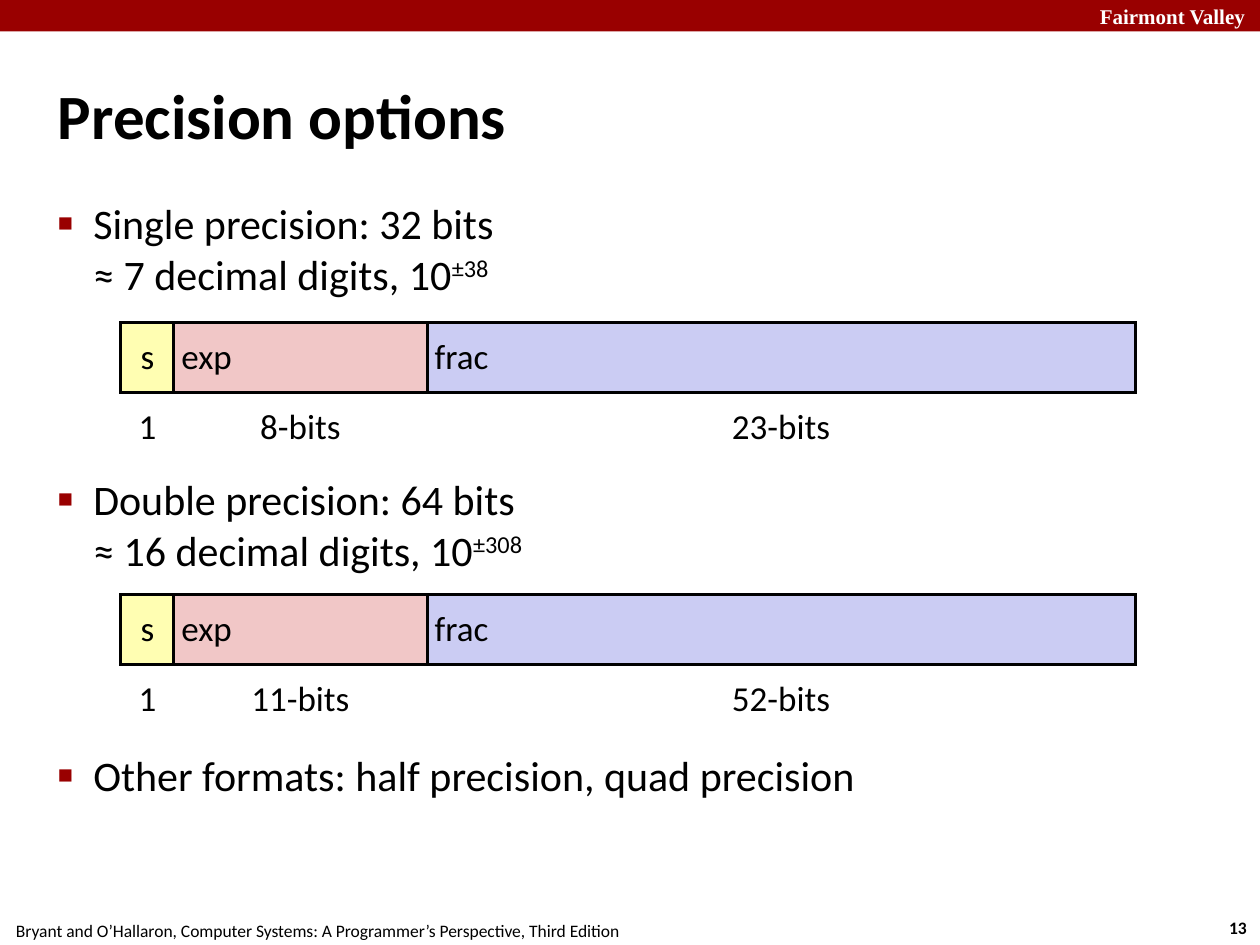
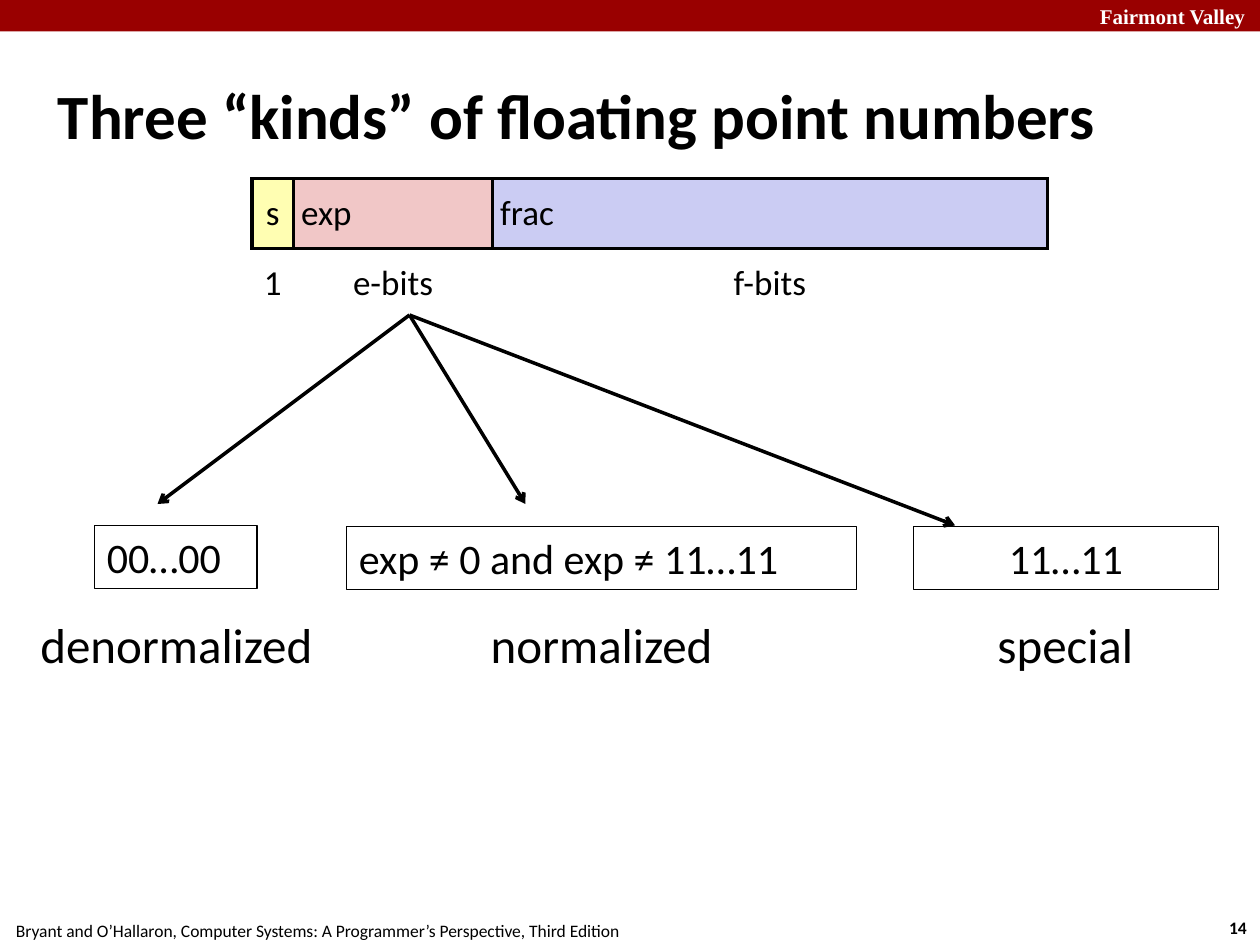
"""Build two slides on floating point precision and the kinds of floating point numbers."""
import lxml.etree
import pptx
import pptx.dml.color
import pptx.enum.shapes
import pptx.enum.text
import pptx.oxml.ns
import pptx.util

Inches = pptx.util.Inches
Pt = pptx.util.Pt
RGBColor = pptx.dml.color.RGBColor
Align = pptx.enum.text.PP_ALIGN
Anchor = pptx.enum.text.MSO_ANCHOR
qn = pptx.oxml.ns.qn

BLACK = RGBColor(0x00, 0x00, 0x00)
WHITE = RGBColor(0xFF, 0xFF, 0xFF)
RED = RGBColor(0x99, 0x00, 0x00)
YELLOW = RGBColor(0xFF, 0xFE, 0xB2)
PINK = RGBColor(0xF1, 0xC7, 0xC7)
LAVENDER = RGBColor(0xCB, 0xCC, 0xF3)

SCHOOL = "Fairmont Valley"
SOURCE = "Bryant and O’Hallaron, Computer Systems: A Programmer’s Perspective, Third Edition"
FIRST_NUMBER = 13

FIELDS = [("s", YELLOW, Align.CENTER), ("exp", PINK, Align.LEFT), ("frac", LAVENDER, Align.LEFT)]
WIDE_COLUMNS = (0.42, 2.01, 5.62)
NARROW_COLUMNS = (0.33, 1.58, 4.4)
ROW_HEIGHT = 0.555

PRECISION_TITLE = "Precision options"
PRECISIONS = [
    (["Single precision: 32 bits", "≈ 7 decimal digits, 10"], "±38", 6),
    (["Double precision: 64 bits", "≈ 16 decimal digits, 10"], "±308", 100),
    (["Other formats: half precision, quad precision"], "", 100),
]
PRECISION_TABLES = [(2.56, ("1", "8-bits", "23-bits")), (4.72, ("1", "11-bits", "52-bits"))]

KINDS_TITLE = "Three “kinds” of floating point numbers"
KINDS_WIDTHS = ("1", "e-bits", "f-bits")
ARROW_START = (3.25, 2.5)
KINDS = [
    {"pattern": "00…00", "box": (0.75, 4.17, 1.29), "align": Align.LEFT,
     "name": "denormalized", "label": (0.21, 2.38), "arrow_end": (1.25, 4)},
    {"pattern": "exp ≠ 0 and exp ≠ 11…11", "box": (2.75, 4.18, 4.05), "align": Align.LEFT,
     "name": "normalized", "label": (3.71, 2.13), "arrow_end": (4.17, 4)},
    {"pattern": "11…11", "box": (7.25, 4.18, 2.42), "align": Align.CENTER,
     "name": "special", "label": (7.74, 1.43), "arrow_end": (7.58, 4.17)},
]


def write(para, text, size=20, font="Calibri", color=BLACK, bold=False, align=Align.LEFT, raised=False):
    """Append one formatted span to a paragraph."""
    para.alignment = align
    span = para.add_run()
    span.text = text
    span.font.size = Pt(size)
    span.font.name = font
    span.font.bold = bold
    span.font.color.rgb = color
    if raised:
        span.font._element.set("baseline", "30000")


def add_child(parent, tag, **attributes):
    """Append an XML element to its parent."""
    return lxml.etree.SubElement(parent, qn(tag), attributes)


def set_margins(area, margin):
    """Give a text frame or cell equal margins."""
    for side in ("left", "right", "top", "bottom"):
        setattr(area, f"margin_{side}", Inches(margin))


def place(shape, left, top, width, height):
    """Move and size a shape in inches."""
    shape.left, shape.top = Inches(left), Inches(top)
    shape.width, shape.height = Inches(width), Inches(height)


def add_label(page, text, left, top, width, height, **style):
    """Add a single-line text box."""
    box = page.shapes.add_textbox(*map(Inches, (left, top, width, height)))
    box.text_frame.word_wrap = False
    write(box.text_frame.paragraphs[0], text, **style)


def add_rectangle(page, left, top, width, height):
    """Add a rectangle without shadow, fill or line."""
    box = page.shapes.add_shape(
        pptx.enum.shapes.MSO_SHAPE.RECTANGLE, *map(Inches, (left, top, width, height)))
    box.shadow.inherit = False
    box.fill.background()
    box.line.fill.background()
    return box


def add_page(deck, layout, title, number):
    """Add a page with the shared band, footer and title."""
    page = deck.slides.add_slide(deck.slide_layouts.get_by_name(layout))
    band = add_rectangle(page, 0, 0, 10, 0.25)
    band.fill.solid()
    band.fill.fore_color.rgb = RED
    add_label(page, SCHOOL, 8.59, -0.02, 1.39, 0.3, size=12, font="Times New Roman",
              color=WHITE, bold=True, align=Align.RIGHT)
    add_label(page, SOURCE, -0.02, 7.25, 5.08, 0.27, size=10, align=Align.CENTER)
    add_label(page, str(number), 9.64, 7.23, 0.37, 0.27, size=10, bold=True, align=Align.CENTER)
    heading = page.shapes.title
    place(heading, 0.42, 0.28, 9.17, 1.25)
    set_margins(heading.text_frame, 0.04)
    heading.text_frame.vertical_anchor = Anchor.MIDDLE
    heading.text_frame.auto_size = pptx.enum.text.MSO_AUTO_SIZE.NONE
    write(heading.text_frame.paragraphs[0], title, size=36, bold=True)
    return page


def add_bullets(page):
    """Fill the body with the precision list."""
    body = page.placeholders[1]
    place(body, 0.42, 1.53, 9.17, 5.94)
    frame = body.text_frame
    set_margins(frame, 0.04)
    frame.auto_size = pptx.enum.text.MSO_AUTO_SIZE.NONE
    for index, (lines, exponent, space) in enumerate(PRECISIONS):
        para = frame.add_paragraph() if index else frame.paragraphs[0]
        para.space_before = Pt(space)
        for row, line in enumerate(lines):
            if row:
                para.add_line_break()
            write(para, line, size=24)
        if exponent:
            write(para, exponent, size=24, raised=True)
        settings = para._p.get_or_add_pPr()
        settings.set("marL", str(Inches(0.28)))
        settings.set("indent", str(-Inches(0.28)))
        add_child(add_child(settings, "a:buClr"), "a:srgbClr", val=str(RED))
        add_child(settings, "a:buSzPct", val="60000")
        add_child(settings, "a:buChar", char="■")


def set_borders(cell, visible):
    """Draw the named cell edges in black and hide the others."""
    settings = cell._tc.get_or_add_tcPr()
    for edge in "LRTB":
        line = add_child(settings, f"a:ln{edge}", w=str(Pt(2)))
        if edge in visible:
            add_child(add_child(line, "a:solidFill"), "a:srgbClr", val=str(BLACK))
        else:
            add_child(line, "a:noFill")


def add_format_table(page, left, top, columns, widths):
    """Add the s, exp and frac fields above their bit widths."""
    table = page.shapes.add_table(
        2, len(columns), *map(Inches, (left, top, sum(columns), 2 * ROW_HEIGHT))).table
    table.first_row = table.horz_banding = False
    for row in table.rows:
        row.height = Inches(ROW_HEIGHT)
    for index, (field, color, align) in enumerate(FIELDS):
        table.columns[index].width = Inches(columns[index])
        top_cell, bottom_cell = table.cell(0, index), table.cell(1, index)
        set_borders(top_cell, "LRTB")
        set_borders(bottom_cell, "T")
        top_cell.fill.solid()
        top_cell.fill.fore_color.rgb = color
        bottom_cell.fill.background()
        for cell, text, side in ((top_cell, field, align), (bottom_cell, widths[index], Align.CENTER)):
            set_margins(cell, 0.06)
            cell.vertical_anchor = Anchor.MIDDLE
            write(cell.text_frame.paragraphs[0], text, align=side)


def add_arrow(page, start, end):
    """Add a straight black arrow."""
    arrow = page.shapes.add_connector(
        pptx.enum.shapes.MSO_CONNECTOR.STRAIGHT, *map(Inches, start + end))
    arrow.line.color.rgb = BLACK
    arrow.line.width = Pt(2)
    add_child(arrow.line._get_or_add_ln(), "a:tailEnd", type="arrow")
    add_child(arrow._element.spPr, "a:effectLst")


def add_kind(page, kind):
    """Add one kind of number: arrow, bit pattern and name."""
    add_arrow(page, ARROW_START, kind["arrow_end"])
    box = add_rectangle(page, *kind["box"], 0.5)
    box.line.color.rgb = BLACK
    box.line.width = Pt(0.75)
    write(box.text_frame.paragraphs[0], kind["pattern"], size=24, align=kind["align"])
    left, width = kind["label"]
    add_label(page, kind["name"], left, 4.83, width, 0.57, size=28, align=Align.CENTER)


def main():
    """Build and save the deck."""
    deck = pptx.Presentation()
    deck.slide_width, deck.slide_height = Inches(10), Inches(7.5)
    page = add_page(deck, "Title and Content", PRECISION_TITLE, FIRST_NUMBER)
    add_bullets(page)
    for top, widths in PRECISION_TABLES:
        add_format_table(page, 0.96, top, WIDE_COLUMNS, widths)
    page = add_page(deck, "Title Only", KINDS_TITLE, FIRST_NUMBER + 1)
    add_format_table(page, 2, 1.42, NARROW_COLUMNS, KINDS_WIDTHS)
    for kind in KINDS:
        add_kind(page, kind)
    deck.save("out.pptx")


if __name__ == "__main__":
    main()
